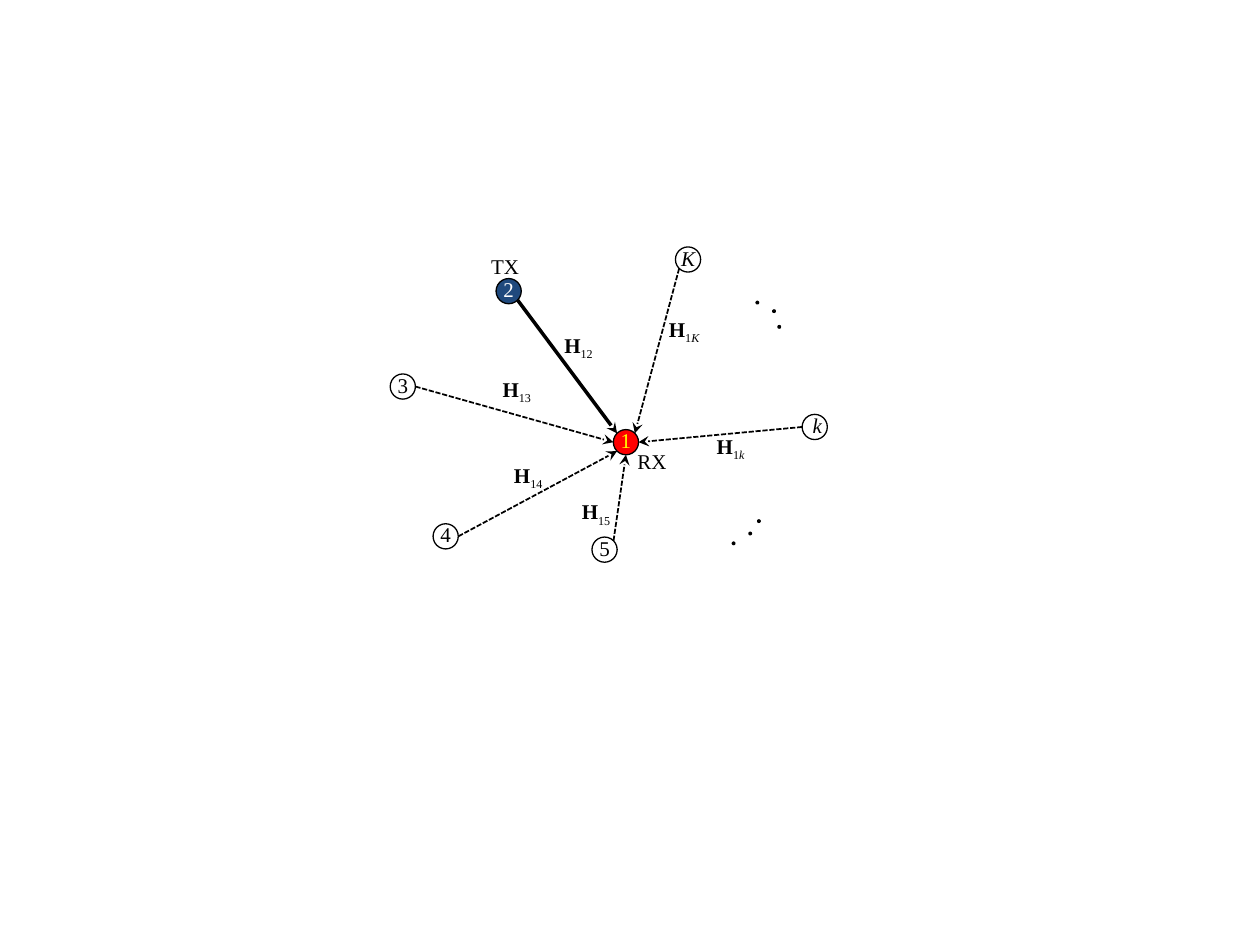
"""Build a slide of one receiver, its transmitter and interfering nodes."""
from lxml.etree import SubElement
from pptx import Presentation
from pptx.dml.color import RGBColor
from pptx.enum.dml import MSO_LINE
from pptx.enum.shapes import MSO_CONNECTOR, MSO_SHAPE
from pptx.enum.text import MSO_ANCHOR, MSO_AUTO_SIZE, PP_ALIGN
from pptx.oxml.ns import qn
from pptx.util import Pt

COLORS = {"black": "000000", "white": "FFFFFF", "blue": "1F497D", "red": "FF0000", "yellow": "FFFF00"}
FONT = {"name": "Times New Roman", "size": Pt(12)}
RADIUS, DOT, LABEL_HEIGHT = 7.2, 2.2, 21.6
DIAGONAL = 0.5 ** 0.5

NODES = {
    "2": {"center": (290.7, 166.4), "fill": "blue", "color": "white"},
    "3": {"center": (230.2, 220.9)},
    "1": {"center": (357.7, 252.7), "fill": "red", "color": "yellow"},
    "4": {"center": (254.7, 306.5)},
    "5": {"center": (345.5, 314.1)},
    "k": {"center": (465.6, 244), "shift": 1.5, "italic": True},
    "K": {"center": (393.2, 148.3), "italic": True},
}
SIDES = {
    "left": (-1, 0), "right": (1, 0), "bottom": (0, 1),
    "top left": (-DIAGONAL, -DIAGONAL), "top right": (DIAGONAL, -DIAGONAL),
    "bottom left": (-DIAGONAL, DIAGONAL), "bottom right": (DIAGONAL, DIAGONAL),
}
DASHED = {"width": Pt(1), "dash_style": MSO_LINE.SQUARE_DOT}
CHANNELS = [
    ("2", "bottom right", "top left", {"width": Pt(2)}),
    ("3", "right", "left", DASHED),
    ("4", "right", "bottom left", DASHED),
    ("5", "top right", "bottom", DASHED),
    ("k", "left", "right", DASHED),
    ("K", "bottom left", "top right", DASHED),
]
ROLES = [("TX", 273.6, 141.1, 31), ("RX", 357.1, 252.7, 31.7)]
CHANNEL_LABELS = [
    ("2", 315.4, 186.5, 32.4),
    ("3", 280.1, 211.7, 32.4),
    ("4", 286.6, 260.6, 32.4),
    ("5", 325.4, 281.5, 32.4),
    ("k", 402.5, 244.1, 33.8),
    ("K", 375.1, 177.1, 35.3),
]
DOTS = [(419.2, 310.5), (428.7, 304.9), (433.7, 297.8), (445.3, 186.8), (442.3, 177.8), (432.8, 172.9)]


def add_circle(shapes, center, radius, fill=None, line=None):
    x, y = center
    circle = shapes.add_shape(MSO_SHAPE.OVAL, Pt(x - radius), Pt(y - radius), Pt(2 * radius), Pt(2 * radius))
    circle.shadow.inherit = False
    for part, color in ((circle.fill, fill), (circle.line.fill, line)):
        if color:
            part.solid()
            part.fore_color.rgb = RGBColor.from_string(COLORS[color])
        else:
            part.background()
    if line:
        circle.line.width = Pt(0.75)


def add_text(shapes, place, runs, color="black", grow=True, frame_format=(), align=None):
    box = shapes.add_textbox(*map(Pt, place))
    frame = box.text_frame
    settings = {"word_wrap": False, "auto_size": MSO_AUTO_SIZE.SHAPE_TO_FIT_TEXT if grow else MSO_AUTO_SIZE.NONE}
    for name, value in {**settings, **dict(frame_format)}.items():
        setattr(frame, name, value)
    para = frame.paragraphs[0]
    para.alignment = align
    for text, font_format, baseline in runs:
        span = para.add_run()
        span.text = text
        for name, value in {**FONT, **font_format}.items():
            setattr(span.font, name, value)
        span.font.color.rgb = RGBColor.from_string(COLORS[color])
        if baseline:
            span._r.get_or_add_rPr().set("baseline", str(baseline))


def add_node(shapes, name, node):
    group = shapes.add_group_shape()
    filled = "fill" in node
    add_circle(group.shapes, node["center"], RADIUS, node.get("fill"), "black")
    x, y = node["center"]
    height = 2 * RADIUS if filled else LABEL_HEIGHT
    place = (x + node.get("shift", 0) - 3, y - 1 - height / 2, 6, height)
    inset_free = {f"margin_{side}": 0 for side in ("left", "top", "right", "bottom")}
    add_text(group.shapes, place, [(name, {"italic": node.get("italic")}, 0)], node.get("color", "black"),
             filled, {**inset_free, "vertical_anchor": MSO_ANCHOR.MIDDLE}, PP_ALIGN.CENTER)


def edge_point(name, side):
    return [Pt(middle + RADIUS * step) for middle, step in zip(NODES[name]["center"], SIDES[side])]


def add_channel(shapes, sender, start, end, line_format):
    arrow = shapes.add_connector(MSO_CONNECTOR.STRAIGHT, *edge_point(sender, start), *edge_point("1", end))
    arrow.line.color.rgb = RGBColor.from_string(COLORS["black"])
    for name, value in line_format.items():
        setattr(arrow.line, name, value)
    properties = arrow.element.spPr
    SubElement(properties.find(qn("a:ln")), qn("a:tailEnd"), type="stealth")
    SubElement(properties, qn("a:effectLst"))


deck = Presentation()
deck.slide_width, deck.slide_height = Pt(720), Pt(540)
page = deck.slides.add_slide(deck.slide_layouts[6])
shapes = page.shapes

for role, left, top, width in ROLES:
    add_text(shapes, (left, top, width, LABEL_HEIGHT), [(role, {}, 0)])
for name, node in NODES.items():
    add_node(shapes, name, node)
for channel in CHANNELS:
    add_channel(shapes, *channel)
for center in DOTS:
    add_circle(shapes, center, DOT / 2, "black")
for sender, left, top, width in CHANNEL_LABELS:
    index = [("1", {}, -25000), (sender, {"italic": True}, -25000)] if sender.isalpha() else [("1" + sender, {}, -25000)]
    add_text(shapes, (left, top, width, LABEL_HEIGHT), [("H", {"bold": True}, 0), *index])

deck.save("out.pptx")
